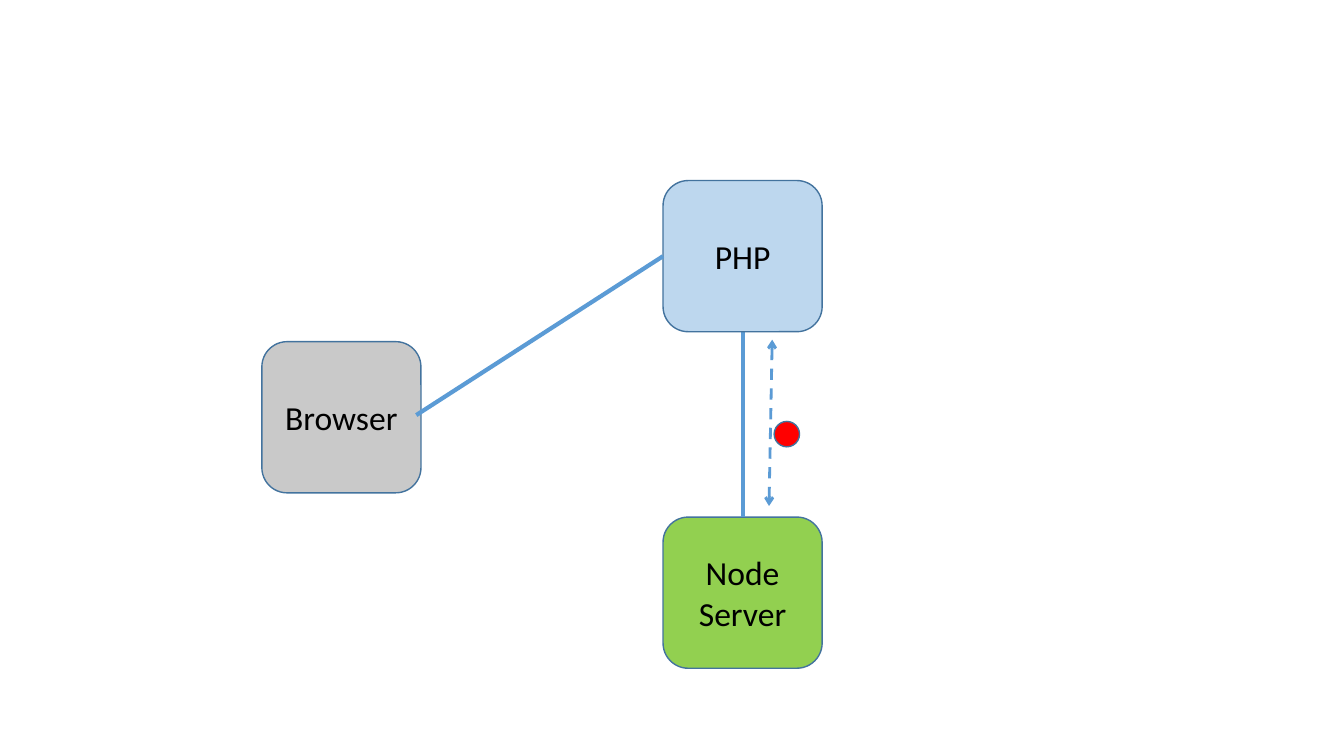
from lxml.etree import SubElement as Sub
from pptx import Presentation
from pptx.dml.color import RGBColor as Rgb
from pptx.enum.dml import MSO_LINE as Dash
from pptx.enum.shapes import MSO_CONNECTOR as Link, MSO_SHAPE as Kind
from pptx.enum.text import MSO_ANCHOR as Anchor, PP_ALIGN as Align
from pptx.oxml.ns import qn
from pptx.util import Cm, Pt

COLORS = {
    "php": "BDD7EE",
    "node": "92D050",
    "browser": "C9C9C9",
    "dot": "FF0000",
    "edge": "43739E",
    "link": "5B9BD5",
    "text": "000000",
}
WIDE, HIGH = 4.01, 3.81


class Board:
    def __init__(self, slide, font, size):
        self.shapes = slide.shapes
        self.font = font
        self.size = size

    def color(self, name):
        return Rgb.from_string(COLORS[name])

    def shape(self, kind, left, top, wide, high, fill):
        item = self.shapes.add_shape(kind, Cm(left), Cm(top), Cm(wide), Cm(high))
        item.shadow.inherit = False
        item.fill.solid()
        item.fill.fore_color.rgb = self.color(fill)
        item.line.color.rgb = self.color("edge")
        item.line.width = Pt(1)
        return item

    def box(self, left, top, fill, text):
        frame = self.shape(Kind.ROUNDED_RECTANGLE, left, top, WIDE, HIGH, fill).text_frame
        frame.word_wrap = True
        frame.vertical_anchor = Anchor.MIDDLE
        para = frame.paragraphs[0]
        para.text = text
        para.alignment = Align.CENTER
        para.font.name = self.font
        para.font.size = Pt(self.size)
        para.font.color.rgb = self.color("text")

    def dot(self, left, top, size):
        self.shape(Kind.OVAL, left, top, size, size, "dot")

    def line(self, start, end, width=3):
        item = self.shapes.add_connector(Link.STRAIGHT, *map(Cm, start + end))
        item.line.color.rgb = self.color("link")
        item.line.width = Pt(width)
        Sub(item._element.spPr, qn("a:effectLst"))
        return item

    def arrow(self, start, end):
        line = self.line(start, end, 2).line
        line.dash_style = Dash.DASH
        for tag in ("a:headEnd", "a:tailEnd"):
            Sub(line._get_or_add_ln(), qn(tag), type="arrow")


deck = Presentation()
deck.slide_width, deck.slide_height = Cm(33.87), Cm(19.05)
board = Board(deck.slides.add_slide(deck.slide_layouts[6]), "Calibri", 24)

left, php_top, node_top = 16.71, 4.55, 13.03
mid = left + WIDE / 2

board.box(left, node_top, "node", "Node\vServer")
board.box(6.6, 8.61, "browser", "Browser")
board.line((mid, php_top + HIGH), (mid, node_top))
board.arrow((19.46, 8.56), (19.38, 12.75))
board.dot(19.51, 10.62, 0.64)
board.box(left, php_top, "php", "PHP")
board.line((left, php_top + HIGH / 2), (10.49, 10.46))

deck.save("out.pptx")
